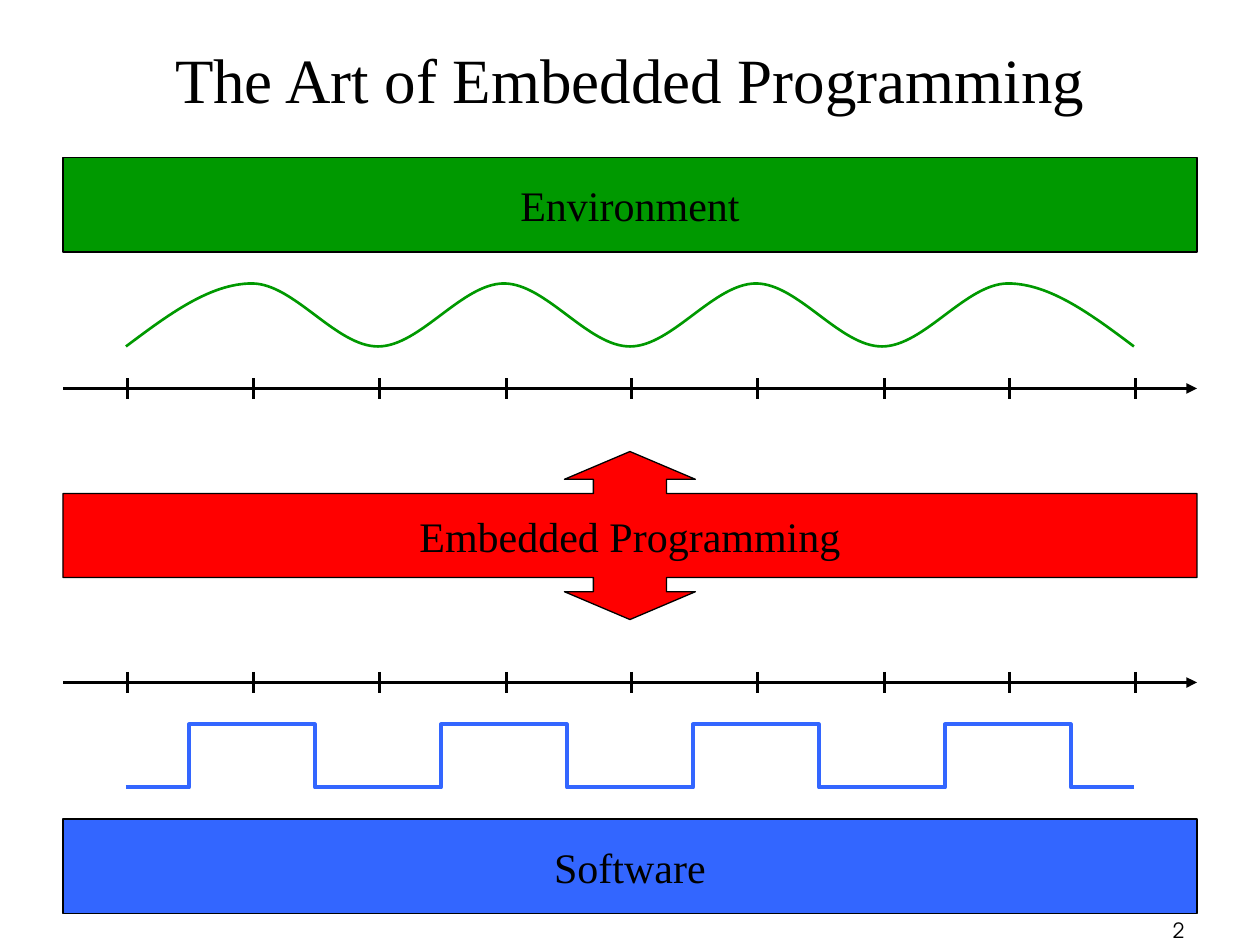
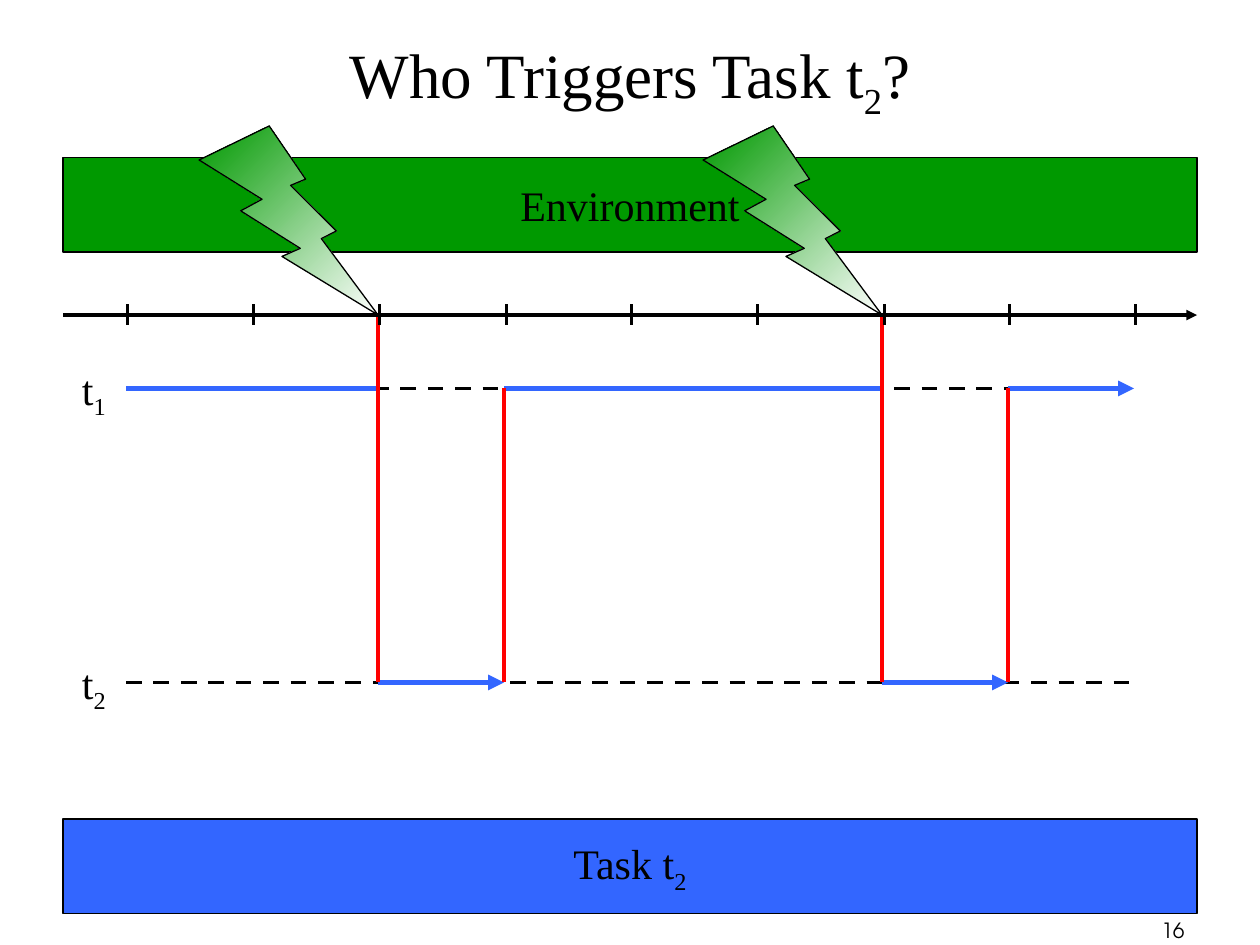
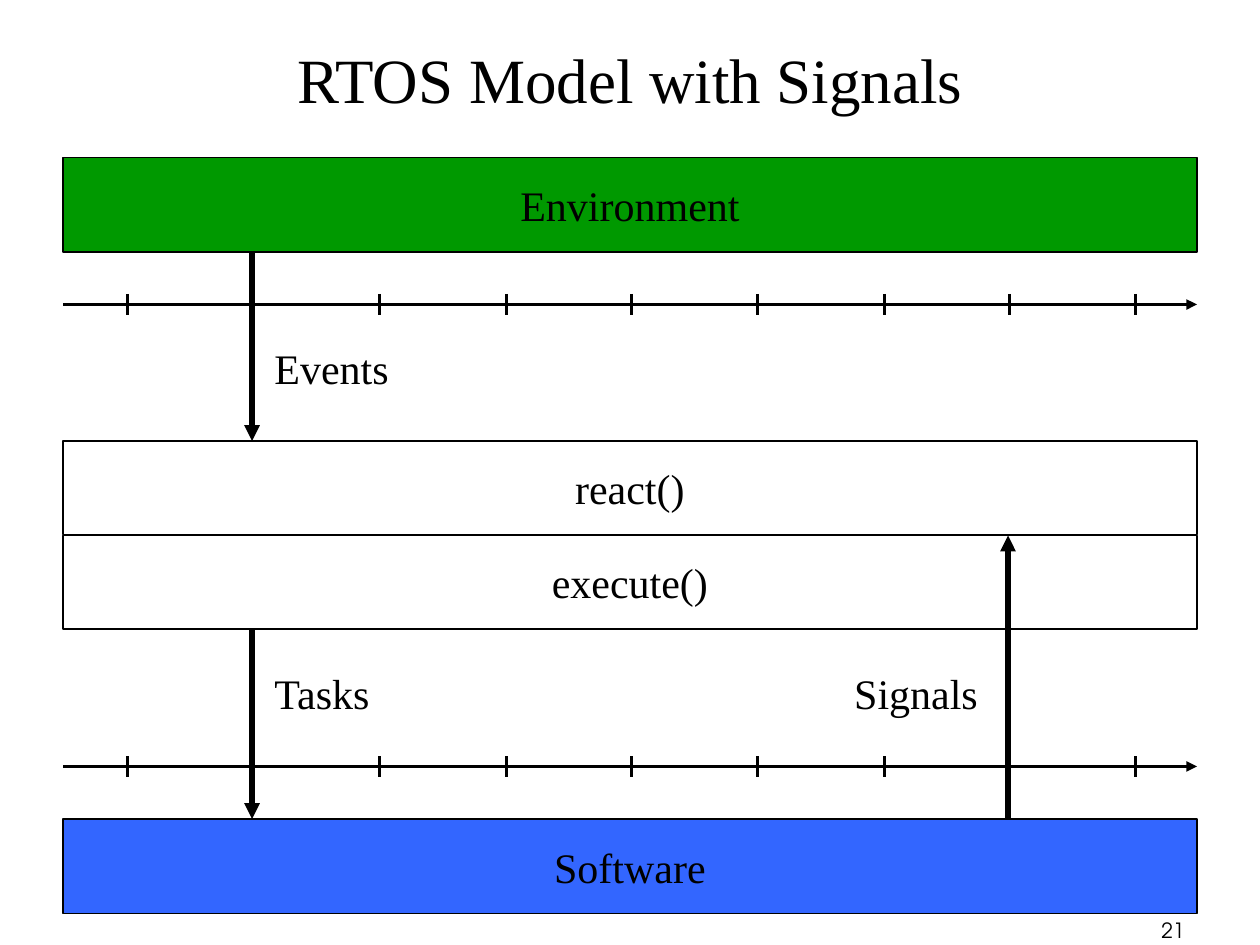
"""Builds three slides on embedded programming with time axes, bands and task lines."""
from dataclasses import dataclass
from itertools import pairwise

from lxml import etree
from pptx import Presentation
from pptx.dml.color import RGBColor
from pptx.enum.dml import MSO_LINE
from pptx.enum.shapes import MSO_CONNECTOR, MSO_SHAPE
from pptx.enum.text import MSO_ANCHOR, MSO_AUTO_SIZE, PP_ALIGN
from pptx.oxml.ns import qn
from pptx.util import Inches, Pt

STRAIGHT = MSO_CONNECTOR.STRAIGHT
RECTANGLE = MSO_SHAPE.RECTANGLE
BOLT = MSO_SHAPE.LIGHTNING_BOLT
DASH = MSO_LINE.DASH
LEFT, CENTER, RIGHT = PP_ALIGN.LEFT, PP_ALIGN.CENTER, PP_ALIGN.RIGHT
TOP, MIDDLE = MSO_ANCHOR.TOP, MSO_ANCHOR.MIDDLE
FIXED, GROW = MSO_AUTO_SIZE.NONE, MSO_AUTO_SIZE.SHAPE_TO_FIT_TEXT

SLIDE_WIDTH, SLIDE_HEIGHT = Inches(10), Inches(7.5)
COLUMN, ROW = SLIDE_WIDTH / 10, SLIDE_HEIGHT / 90
TITLE_ONLY = 5
BAND_LEFT, BAND_WIDTH, BAND_ROWS = 0.5, 9, 9
ENVIRONMENT_ROW, SOFTWARE_ROW = 15, 78
TASK_ROWS = {"t_1": 37, "t_2": 65}
TICKS = (1.01, 2.01, 3.01, 4.02, 5.01, 6.01, 7.02, 8.01, 9.01)


@dataclass(frozen=True)
class Theme:
    """Colours, fonts, type sizes and line widths."""
    black: RGBColor = RGBColor(0, 0, 0)
    white: RGBColor = RGBColor(255, 255, 255)
    green: RGBColor = RGBColor(0, 0x99, 0)
    blue: RGBColor = RGBColor(0x33, 0x66, 0xFF)
    red: RGBColor = RGBColor(255, 0, 0)
    font: str = "Times New Roman"
    number_font: str = "TeX Gyre Adventor"
    title: float = 36
    body: float = 24
    number: float = 12
    outline: float = 0.75
    tick: float = 1.5
    axis: float = 2
    signal: float = 2.25
    arrow: float = 3


THEME = Theme()


def point(column, row):
    """Turns a grid point into slide units."""
    return round(column * COLUMN), round(row * ROW)


def box(left, top, width, height):
    """Turns a grid box into slide units."""
    return (*point(left, top), *point(width, height))


def write(shape, text, size=THEME.body, font=THEME.font, align=CENTER, anchor=MIDDLE,
          wrap=False, fit=FIXED):
    """Writes one paragraph; parts between underscores become subscripts."""
    frame = shape.text_frame
    frame.word_wrap = wrap
    frame.auto_size = fit
    frame.vertical_anchor = anchor
    frame.margin_left = frame.margin_right = Inches(0.1)
    frame.margin_top = frame.margin_bottom = Inches(0.05)
    paragraph = frame.paragraphs[0]
    paragraph.alignment = align
    for index, part in enumerate(text.split("_")):
        if part:
            run = paragraph.add_run()
            run.text = part
            run.font.size = Pt(size)
            run.font.name = font
            run.font.color.rgb = THEME.black
            if index % 2:
                run._r.get_or_add_rPr().set("baseline", "-25000")


def paint(shape, fill=None, line=THEME.black, width=THEME.outline):
    """Sets a shape's fill and outline."""
    shape.shadow.inherit = False
    if fill is None:
        shape.fill.background()
    else:
        shape.fill.solid()
        shape.fill.fore_color.rgb = fill
    shape.line.color.rgb = line
    shape.line.width = Pt(width)


def add_line(shapes, start, end, color=THEME.black, width=THEME.arrow, dash=None, arrow=False):
    """Draws a straight line between two grid points."""
    connector = shapes.add_connector(STRAIGHT, *point(*start), *point(*end))
    connector.line.color.rgb = color
    connector.line.width = Pt(width)
    if dash:
        connector.line.dash_style = dash
    if arrow:
        etree.SubElement(connector.line._get_or_add_ln(), qn("a:tailEnd"), type="triangle")
    etree.SubElement(connector._element.spPr, qn("a:effectLst"))


def add_axis(slide, row):
    """Draws a grouped time axis with nine ticks."""
    shapes = slide.shapes.add_group_shape().shapes
    add_line(shapes, (BAND_LEFT, row), (BAND_LEFT + BAND_WIDTH, row),
             width=THEME.axis, arrow=True)
    for column in TICKS:
        add_line(shapes, (column, row - 1), (column, row + 1), width=THEME.tick)


def add_band(slide, text, row, fill=None, rows=BAND_ROWS):
    """Draws a wide labelled band."""
    band = slide.shapes.add_shape(RECTANGLE, *box(BAND_LEFT, row, BAND_WIDTH, rows))
    paint(band, fill)
    write(band, text)


def add_label(slide, text, bounds, align=LEFT):
    """Adds a text box that fits its text."""
    label = slide.shapes.add_textbox(*box(*bounds))
    write(label, text, align=align, anchor=TOP, fit=GROW)


def add_outline(slide, points, close=False, **style):
    """Draws a freeform through grid points."""
    first, *rest = [point(*pair) for pair in points]
    builder = slide.shapes.build_freeform(*first)
    builder.add_line_segments(rest, close=close)
    shape = builder.convert_to_shape()
    paint(shape, **style)
    return shape


def add_bolt(slide, column):
    """Draws a lightning bolt whose tip touches the axis at a column."""
    bolt = slide.shapes.add_shape(BOLT, *box(column - 1.42, 12, 1.42, 18))
    paint(bolt)
    bolt.fill.gradient()
    bolt.fill.gradient_angle = 135
    for stop, color in zip(bolt.fill.gradient_stops, (THEME.white, THEME.green)):
        stop.color.rgb = color


def add_slide(presentation, title, number, margin=0.75):
    """Adds a slide with its title and number."""
    slide = presentation.slides.add_slide(presentation.slide_layouts[TITLE_ONLY])
    heading = slide.shapes.title
    heading.left, heading.top, heading.width, heading.height = box(margin, 0, 10 - 2 * margin, 15)
    write(heading, title, size=THEME.title, wrap=True)
    footer = slide.shapes.add_textbox(*box(7.42, 86.8, 2.08, 3))
    write(footer, str(number), size=THEME.number, font=THEME.number_font,
          align=RIGHT, anchor=TOP, wrap=True)
    return slide


def add_wave(slide, low=33, high=27):
    """Draws a smooth wave with one cubic curve per column."""
    crests = [(column, low if column % 2 else high) for column in range(1, 10)]
    wave = add_outline(slide, crests, line=THEME.green, width=THEME.tick)
    nodes = list(wave._element.iter(qn("a:pt")))
    places = [(int(node.get("x")), int(node.get("y"))) for node in nodes]
    middle = (places[0][1] + places[1][1]) // 2
    last = len(nodes) - 1
    for index, ((x1, y1), (x2, y2)) in enumerate(pairwise(places), start=1):
        segment = nodes[index].getparent()
        segment.tag = qn("a:cubicBezTo")
        third = (x2 - x1) // 3
        controls = ((x1 + third, middle if index == 1 else y1),
                    (x2 - third, middle if index == last else y2))
        for position, (x, y) in enumerate(controls):
            control = etree.Element(qn("a:pt"), x=str(x), y=str(y))
            segment.insert(position, control)


def pulse_points(low=75, high=69, periods=4):
    """Lists the corners of the square wave."""
    points = [(1, low)]
    for index in range(periods):
        rise, fall = 1.5 + 2 * index, 2.5 + 2 * index
        points += [(rise, low), (rise, high), (fall, high), (fall, low)]
    return points + [(9, low)]


def double_arrow_points(column=5, row=51):
    """Mirrors one quarter of the band with up and down arrowheads."""
    quarter = [(4.5, 4), (0.29, 4), (0.29, 5.35), (0.52, 5.35), (0, 8)]
    half = quarter + [(-x, y) for x, y in quarter[-2::-1]]
    return [(column + x, row + y) for x, y in half + [(-x, -y) for x, y in half]]


def build_art(presentation):
    """Builds the slide that links environment and software."""
    slide = add_slide(presentation, "The Art of Embedded Programming", 2)
    add_axis(slide, 37)
    add_band(slide, "Environment", ENVIRONMENT_ROW, THEME.green)
    add_band(slide, "Software", SOFTWARE_ROW, THEME.blue)
    add_axis(slide, 65)
    add_wave(slide)
    add_outline(slide, pulse_points(), line=THEME.blue, width=THEME.signal)
    bridge = add_outline(slide, double_arrow_points(), close=True, fill=THEME.red)
    write(bridge, "Embedded Programming")


def build_triggers(presentation):
    """Builds the slide that shows two tasks taking turns."""
    slide = add_slide(presentation, "Who Triggers Task t_2_?", 16, margin=0.5)
    shapes = slide.shapes
    first, second = TASK_ROWS.values()
    axis_row = 30
    for name, row in TASK_ROWS.items():
        add_line(shapes, (1, row), (9, row), width=THEME.signal, dash=DASH)
        add_label(slide, name, (0.55, row - 3, 0.39, 6.7), CENTER)
    add_band(slide, "Task t_2", SOFTWARE_ROW, THEME.blue)
    runs = [(1, 3, first, False), (3, 4, second, True), (4, 7, first, False),
            (7, 8, second, True), (8, 9, first, True)]
    for start, end, row, arrow in runs:
        add_line(shapes, (start, row), (end, row), THEME.blue, arrow=arrow)
    for column, top in ((3, axis_row), (4, first), (7, axis_row), (8, first)):
        add_line(shapes, (column, top), (column, second), THEME.red, THEME.signal)
    add_band(slide, "Environment", ENVIRONMENT_ROW, THEME.green)
    for column in (3, 7):
        add_bolt(slide, column)
    add_axis(slide, axis_row)


def build_signals(presentation):
    """Builds the slide with events, tasks and signals."""
    slide = add_slide(presentation, "RTOS Model with Signals", 21)
    add_axis(slide, 29)
    add_band(slide, "Environment", ENVIRONMENT_ROW, THEME.green)
    add_band(slide, "Software", SOFTWARE_ROW, THEME.blue)
    add_axis(slide, 73)
    add_band(slide, "execute()", 51, rows=8.9)
    add_band(slide, "react()", 42, rows=8.9)
    for column, start, end in ((2, 24, 42), (2, 60, 78), (8, 78, 51)):
        add_line(slide.shapes, (column, start), (column, end), arrow=True)
    add_label(slide, "Events", (2.08, 32, 1.13, 6))
    add_label(slide, "Tasks", (2.08, 63, 1, 6))
    add_label(slide, "Signals", (6.66, 63, 1.2, 6), RIGHT)


def main():
    """Builds and saves the presentation."""
    presentation = Presentation()
    presentation.slide_width, presentation.slide_height = SLIDE_WIDTH, SLIDE_HEIGHT
    build_art(presentation)
    build_triggers(presentation)
    build_signals(presentation)
    presentation.save("out.pptx")


if __name__ == "__main__":
    main()
